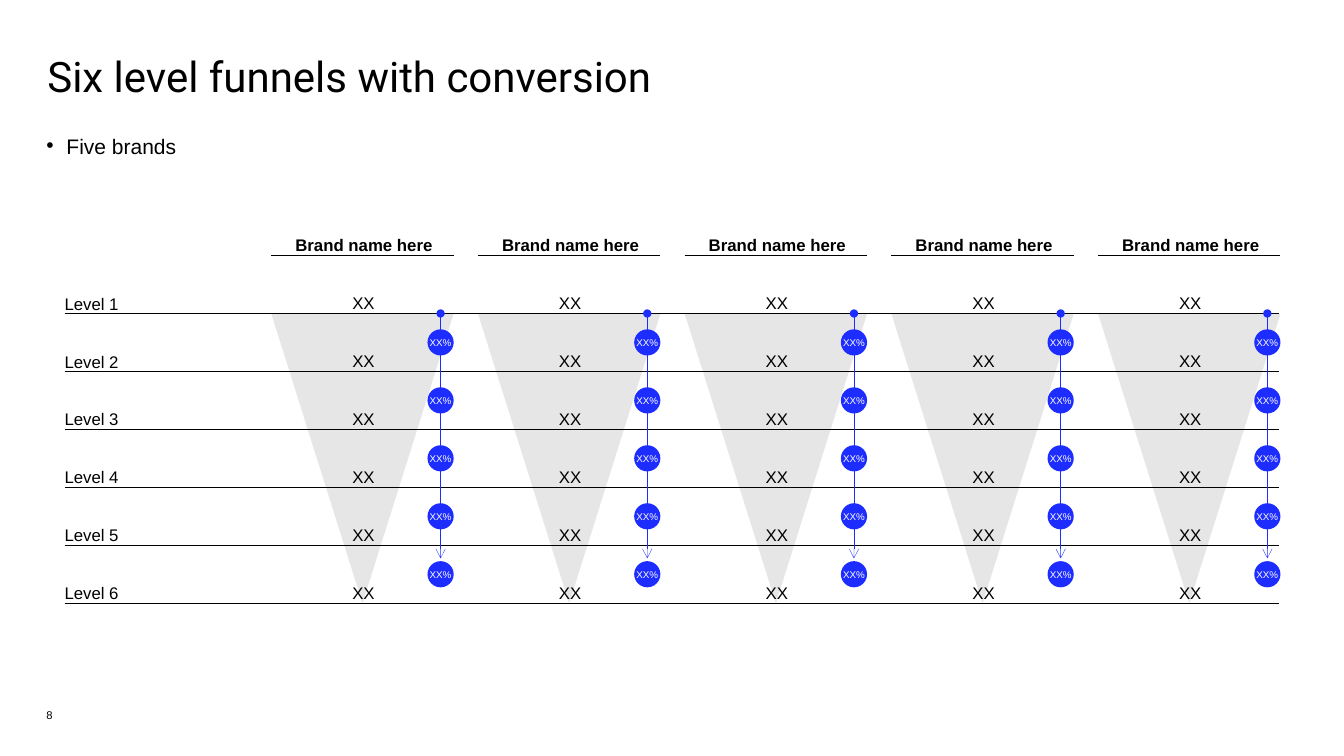
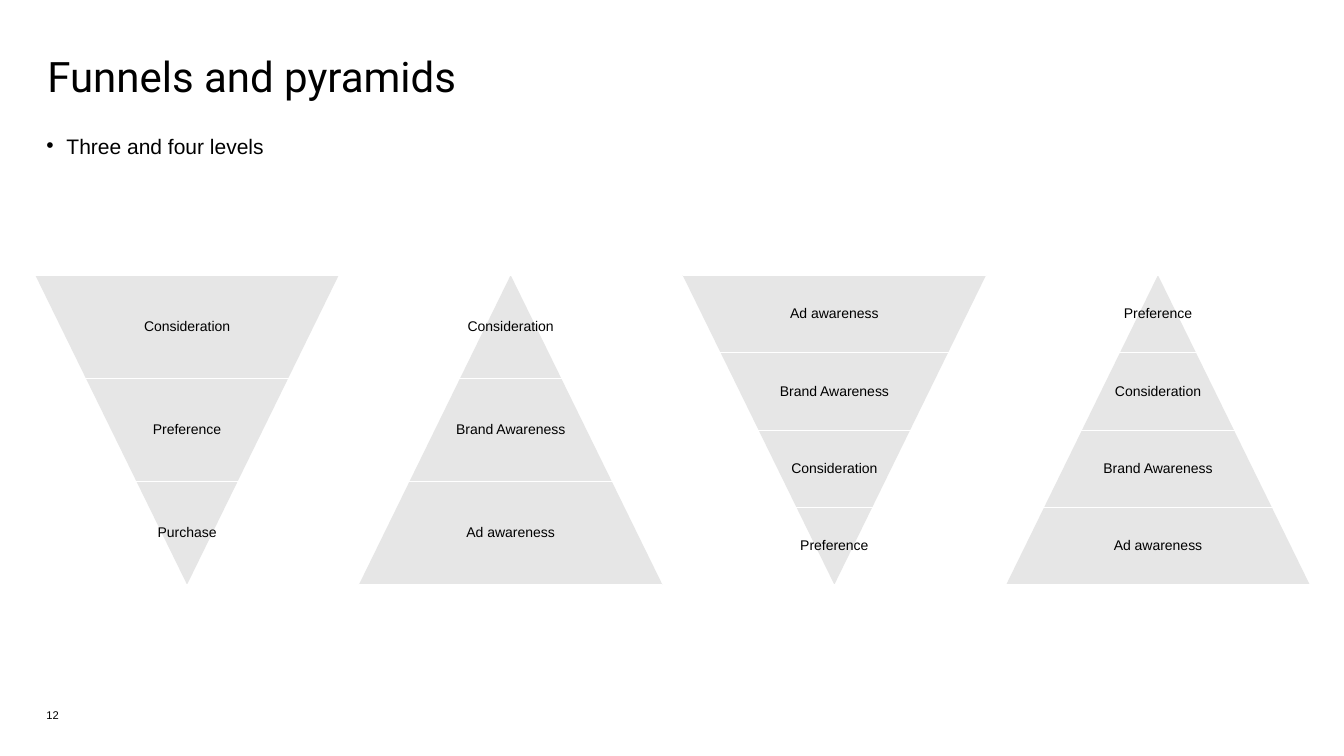
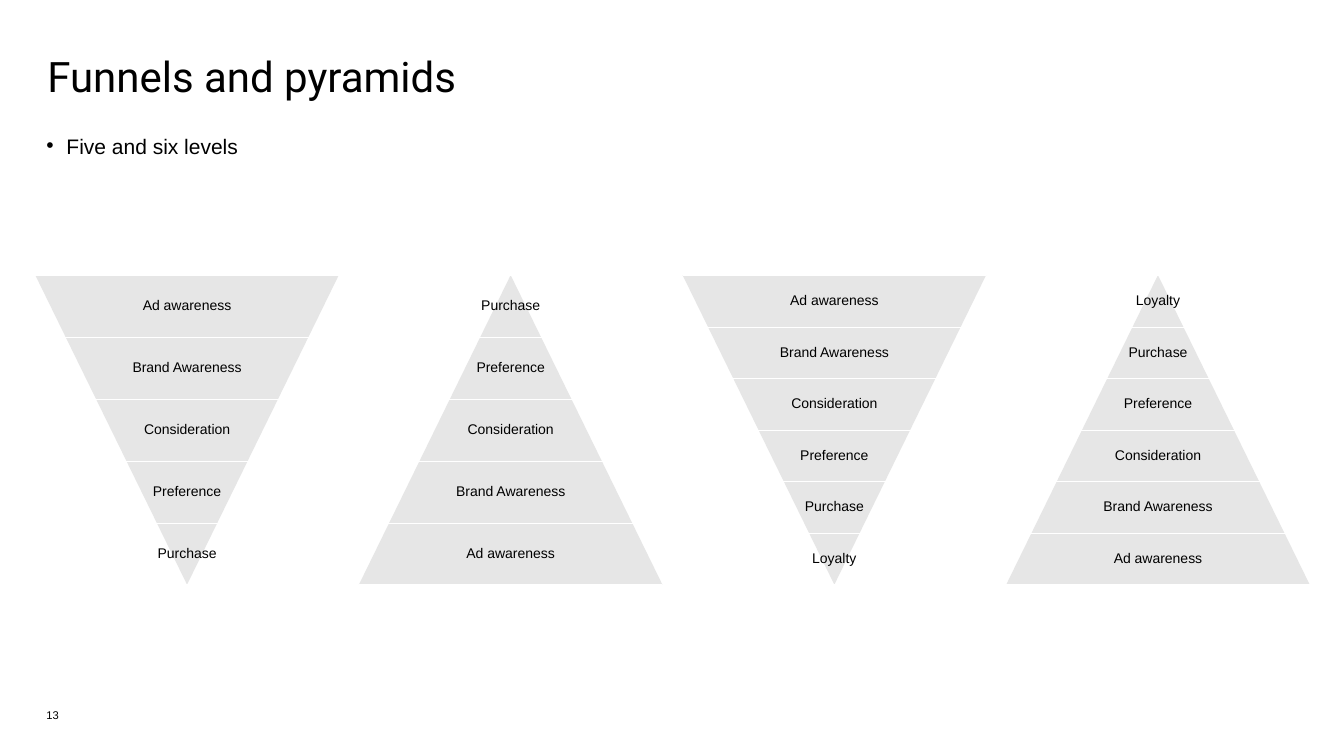
import lxml.etree
import pptx
import pptx.dml.color
import pptx.enum.shapes
import pptx.enum.text
import pptx.oxml.ns
import pptx.util

Inches = pptx.util.Inches
Pt = pptx.util.Pt
qn = pptx.oxml.ns.qn
color = pptx.dml.color.RGBColor.from_string
SHAPE = pptx.enum.shapes.MSO_SHAPE
ANCHOR = pptx.enum.text.MSO_ANCHOR
LEFT = pptx.enum.text.PP_ALIGN.LEFT
CENTER = pptx.enum.text.PP_ALIGN.CENTER

BLACK, WHITE, GREY, BLUE = "000000", "FFFFFF", "E6E6E6", "1D2DFF"
HAIRLINE = Pt(0.25)
PLAIN_TABLE_STYLE = "{2D5ABB26-0587-4C30-8999-92F81FD0307C}"

# size, font, bold, alignment, colour
STYLES = {
    "title": (30, "Roboto", False, LEFT, BLACK),
    "subtitle": (15, "Arial", False, LEFT, BLACK),
    "number": (8, "Arial", False, LEFT, BLACK),
    "level": (12, "Arial", False, LEFT, BLACK),
    "brand": (12, "Arial", True, CENTER, BLACK),
    "value": (12, "Arial", False, CENTER, BLACK),
    "stage": (10, "Arial", False, CENTER, BLACK),
    "percent": (7, "Arial", False, CENTER, WHITE),
}


def write(text_frame, text, style):
    size, font, bold, alignment, hex_color = STYLES[style]
    text_frame.text = text
    paragraph = text_frame.paragraphs[0]
    paragraph.alignment = alignment
    run = paragraph.runs[0]
    run.font.size = Pt(size)
    run.font.name = font
    run.font.bold = bold
    run.font.color.rgb = color(hex_color)


def add_solid(slide, preset, left, top, width, height, hex_color):
    """Add a filled shape without outline or shadow; lengths are inches."""
    shape = slide.shapes.add_shape(
        preset, Inches(left), Inches(top), Inches(width), Inches(height))
    shape.shadow.inherit = False
    shape.fill.solid()
    shape.fill.fore_color.rgb = color(hex_color)
    shape.line.fill.background()
    return shape


presentation = pptx.Presentation()
presentation.slide_width = Inches(13.33)
presentation.slide_height = Inches(7.5)
blank_layout = presentation.slide_layouts[6]

# Slides, with their shared title, subtitle and page number
headings = [
    ("Six level funnels with conversion", "Five brands", "8"),
    ("Funnels and pyramids", "Three and four levels", "12"),
    ("Funnels and pyramids", "Five and six levels", "13"),
]
slides = []
text_boxes = []
for title, subtitle, number in headings:
    slide = presentation.slides.add_slide(blank_layout)
    slides.append(slide)
    text_boxes += [
        (slide, title, "title", 0.47, 0.56, 12.4, 0.48),
        (slide, subtitle, "subtitle", 0.46, 1.32, 8.76, 0.48),
        (slide, number, "number", 0.46, 7.03, 0.71, 0.2),
    ]
brand_slide, few_levels_slide, many_levels_slide = slides

# Grid of the brand slide
brand_count, level_count = 5, 6
column_width, row_height = 2.05, 0.575
values_left, brands_left, brand_width = 2.58, 2.69, 1.81
labels_left, lines_right = 0.64, 12.69
first_line, header_line = 3.11, 2.53
first_row_height = 0.24
brand_lefts = [brands_left + column_width * i for i in range(brand_count)]
level_lines = [first_line + row_height * i for i in range(level_count)]
funnel_height = level_lines[-1] - first_line

triangles = [(brand_slide, left, first_line, brand_width, funnel_height, True)
             for left in brand_lefts]
tables = [(brand_slide, values_left, first_line - first_row_height, column_width,
           [first_row_height] + [row_height] * (level_count - 1),
           [["XX"] * brand_count] * level_count, "value")]

# Funnels and pyramids alternate in four columns
stage_columns = [
    (few_levels_slide, [
        ["Consideration", "Preference", "Purchase"],
        ["Consideration", "Brand Awareness", "Ad awareness"],
        ["Ad awareness", "Brand Awareness", "Consideration", "Preference"],
        ["Preference", "Consideration", "Brand Awareness", "Ad awareness"],
    ]),
]
five_stages = ["Ad awareness", "Brand Awareness", "Consideration", "Preference", "Purchase"]
six_stages = five_stages + ["Loyalty"]
stage_columns.append((many_levels_slide, [
    five_stages, five_stages[::-1], six_stages, six_stages[::-1]]))

stage_left, stage_top, stage_width, stage_height, stage_gap = 0.35, 2.73, 3.01, 3.07, 0.2
for slide, columns in stage_columns:
    for index, stages in enumerate(columns):
        left = stage_left + index * (stage_width + stage_gap)
        points_down = index % 2 == 0
        triangles.append((slide, left, stage_top, stage_width, stage_height, points_down))
        tables.append((slide, left, stage_top, stage_width,
                       [stage_height / len(stages)] * len(stages),
                       [[stage] for stage in stages], "stage"))

for slide, left, top, width, height, points_down in triangles:
    triangle = add_solid(slide, SHAPE.ISOSCELES_TRIANGLE, left, top, width, height, GREY)
    triangle.rotation = 180 if points_down else 0

for slide, left, top, width, row_heights, rows, style in tables:
    column_count = len(rows[0])
    table = slide.shapes.add_table(
        len(rows), column_count, Inches(left), Inches(top),
        Inches(width * column_count), Inches(sum(row_heights))).table
    table.first_row = False
    table.horz_banding = False
    table._tbl.tblPr.find(qn("a:tableStyleId")).text = PLAIN_TABLE_STYLE
    for row_index, (height, texts) in enumerate(zip(row_heights, rows)):
        table.rows[row_index].height = Inches(height)
        for column_index, text in enumerate(texts):
            cell = table.cell(row_index, column_index)
            write(cell.text_frame, text, style)
            if style == "value":
                cell.vertical_anchor = ANCHOR.BOTTOM
                cell.margin_top, cell.margin_bottom = Inches(0.04), 0
            else:
                cell.vertical_anchor = ANCHOR.MIDDLE
                cell.margin_left = cell.margin_right = 0
                cell.margin_top = cell.margin_bottom = Inches(0.05)
                properties = cell._tc.get_or_add_tcPr()
                for side in ("a:lnT", "a:lnB"):
                    border = lxml.etree.SubElement(properties, qn(side), w=str(HAIRLINE))
                    border_fill = lxml.etree.SubElement(border, qn("a:solidFill"))
                    lxml.etree.SubElement(border_fill, qn("a:srgbClr"), val=WHITE)
            cell.fill.background()

# Level rules, brand rules and conversion arrows
circle_size = 0.26
arrow_offset = 1.68
arrow_end = 5.54
lines = [(labels_left, y, lines_right, y, BLACK) for y in level_lines]
for index, y in enumerate(level_lines):
    text_boxes.append((brand_slide, f"Level {index + 1}", "level",
                       labels_left, y - 0.2, 1.83, 0.2))
for left in brand_lefts:
    text_boxes.append((brand_slide, "Brand name here", "brand",
                       left, header_line - 0.2, 1.84, 0.2))
    lines.append((left, header_line, left + brand_width, header_line, BLACK))
    lines.append((left + arrow_offset, first_line, left + arrow_offset, arrow_end, BLUE))

for start_x, start_y, end_x, end_y, hex_color in lines:
    connector = brand_slide.shapes.add_connector(
        pptx.enum.shapes.MSO_CONNECTOR.STRAIGHT,
        Inches(start_x), Inches(start_y), Inches(end_x), Inches(end_y))
    connector.line.width = HAIRLINE
    connector.line.color.rgb = color(hex_color)
    properties = connector._element.spPr
    if hex_color == BLUE:
        outline = properties.find(qn("a:ln"))
        lxml.etree.SubElement(outline, qn("a:headEnd"), type="oval")
        lxml.etree.SubElement(outline, qn("a:tailEnd"), type="arrow")
    lxml.etree.SubElement(properties, qn("a:effectLst"))

# Conversion rates sit halfway between two levels
for left in brand_lefts:
    for y in level_lines[:-1]:
        circle = add_solid(
            brand_slide, SHAPE.OVAL, left + arrow_offset - circle_size / 2,
            y + (row_height - circle_size) / 2, circle_size, circle_size, BLUE)
        frame = circle.text_frame
        frame.margin_left = frame.margin_right = frame.margin_top = frame.margin_bottom = 0
        frame.word_wrap = False
        frame.vertical_anchor = ANCHOR.MIDDLE
        write(frame, "XX%", "percent")

for slide, text, style, left, top, width, height in text_boxes:
    frame = slide.shapes.add_textbox(
        Inches(left), Inches(top), Inches(width), Inches(height)).text_frame
    frame.margin_left = frame.margin_right = frame.margin_top = frame.margin_bottom = 0
    frame.word_wrap = True
    write(frame, text, style)
    paragraph = frame.paragraphs[0]
    if style == "title":
        paragraph.line_spacing = 0.9
    elif style == "subtitle":
        paragraph.space_after = Pt(10)
        properties = paragraph._p.get_or_add_pPr()
        properties.set("marL", str(Inches(0.2)))
        properties.set("indent", str(-Inches(0.2)))
        lxml.etree.SubElement(properties, qn("a:buFont"), typeface="Arial")
        lxml.etree.SubElement(properties, qn("a:buChar"), char="•")

presentation.save("out.pptx")
